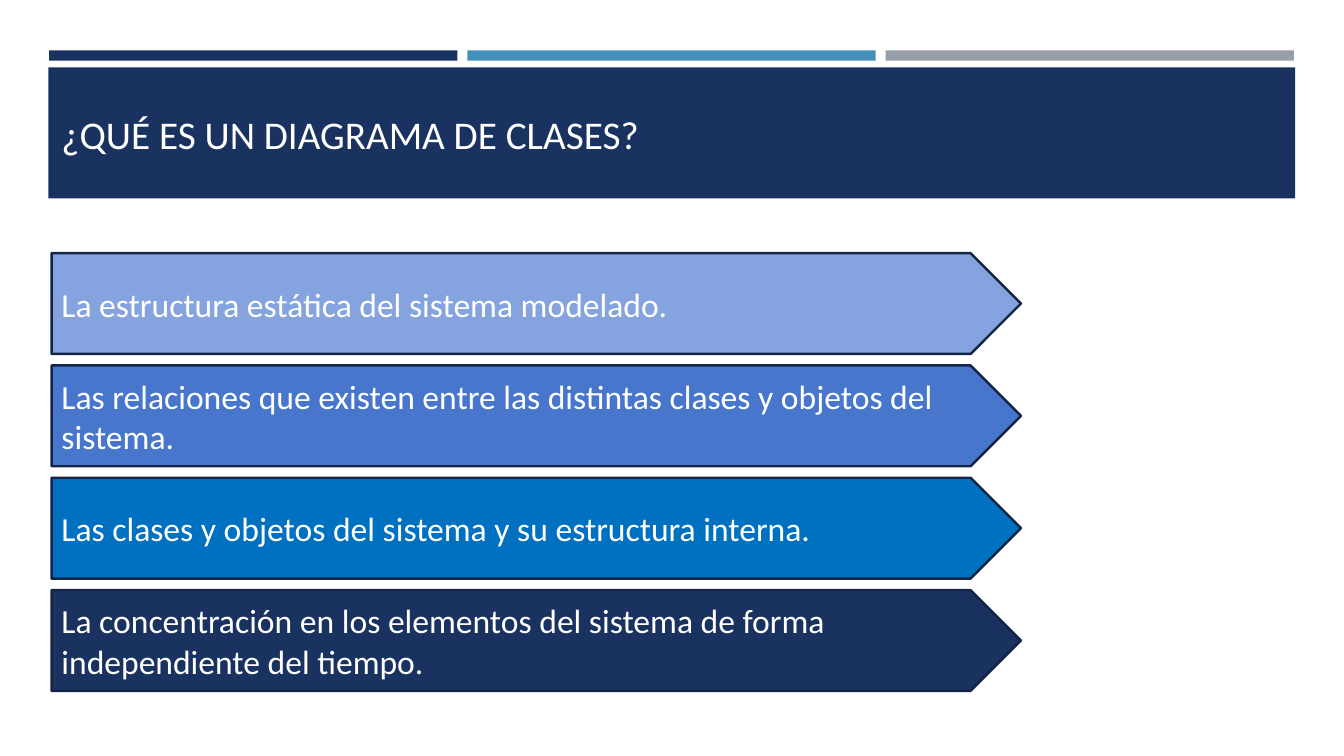
import pptx
import pptx.dml.color
import pptx.enum.shapes
import pptx.enum.text
import pptx.util

Cm = pptx.util.Cm
Pt = pptx.util.Pt
SHAPES = pptx.enum.shapes.MSO_SHAPE

COLORS = {
    "navy": "1A3260",
    "teal": "4590B8",
    "gray": "969FA7",
    "light": "85A3DE",
    "medium": "4876CD",
    "bright": "0070C0",
    "outline": "132547",
    "white": "FFFFFF",
}

FEATURES = [
    ("La estructura estática del sistema modelado.", "light"),
    ("Las relaciones que existen entre las distintas clases y objetos del sistema.", "medium"),
    ("Las clases y objetos del sistema y su estructura interna.", "bright"),
    ("La concentración en los elementos del sistema de forma independiente del tiempo.", "navy"),
]


def rgb(name):
    return pptx.dml.color.RGBColor.from_string(COLORS[name])


def write(frame, text, *, size, color="white", font="Calibri"):
    frame.word_wrap = True
    frame.vertical_anchor = pptx.enum.text.MSO_ANCHOR.MIDDLE
    paragraph = frame.paragraphs[0]
    paragraph.text = text
    paragraph.alignment = pptx.enum.text.PP_ALIGN.LEFT
    paragraph.font.name = font
    paragraph.font.size = Pt(size)
    paragraph.font.color.rgb = rgb(color)


def add_block(slide, preset, left, top, width, height, fill, outline=None):
    block = slide.shapes.add_shape(preset, Cm(left), Cm(top), Cm(width), Cm(height))
    block.shadow.inherit = False
    block.fill.solid()
    block.fill.fore_color.rgb = rgb(fill)
    if outline:
        block.line.color.rgb = rgb(outline)
        block.line.width = Pt(1.75)
    else:
        block.line.fill.background()
    return block


def add_header(slide, title):
    # Three thin stripes above the banner
    for column, color in enumerate(("navy", "teal", "gray")):
        add_block(slide, SHAPES.RECTANGLE, 1.24 + column * 10.54, 1.27, 10.29, 0.26, color)

    # Banner and title
    add_block(slide, SHAPES.RECTANGLE, 1.22, 1.7, 31.42, 3.3, "navy")
    heading = slide.shapes.add_textbox(Cm(1.3), Cm(1.96), Cm(31.29), Cm(2.82))
    write(heading.text_frame, title, size=28)


def add_features(slide, features):
    for row, (text, color) in enumerate(features):
        arrow = add_block(slide, SHAPES.PENTAGON, 1.3, 6.38 + row * 2.83,
                          24.43, 2.54, color, outline="outline")
        write(arrow.text_frame, text, size=24)


def main():
    deck = pptx.Presentation()
    deck.slide_width = Cm(33.87)
    deck.slide_height = Cm(19.05)
    slide = deck.slides.add_slide(deck.slide_layouts[6])
    add_header(slide, "¿QUÉ ES UN DIAGRAMA DE CLASES?")
    add_features(slide, FEATURES)
    deck.save("out.pptx")


if __name__ == "__main__":
    main()
